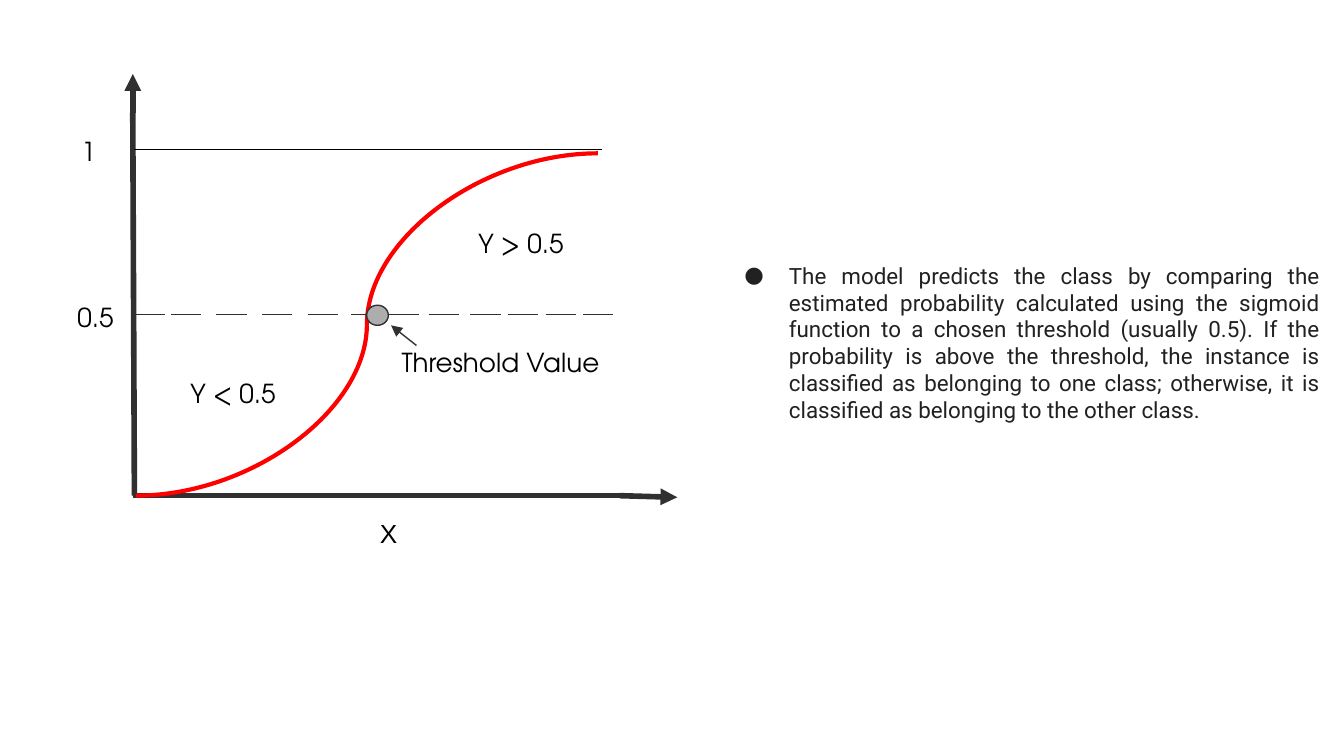
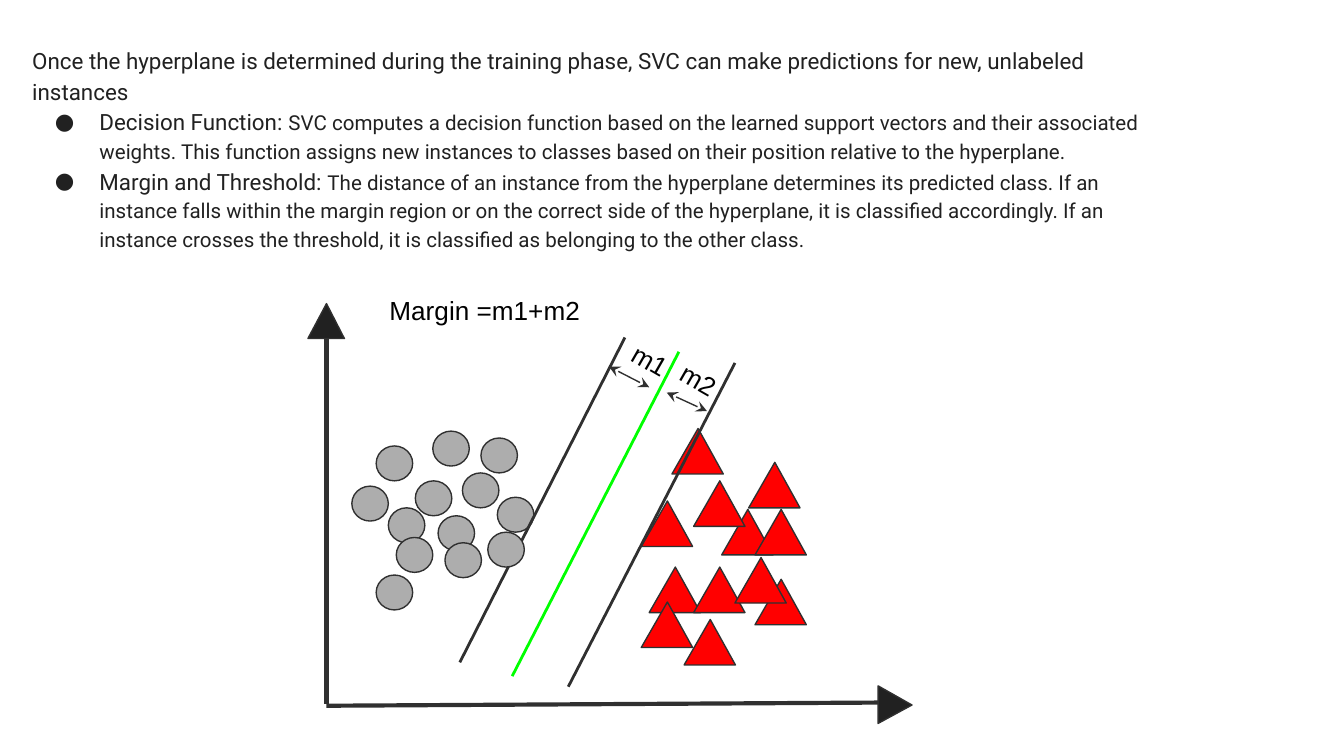
from lxml import etree
from pptx import Presentation
from pptx.dml.color import RGBColor
from pptx.enum.shapes import MSO_CONNECTOR, MSO_SHAPE
from pptx.enum.text import MSO_AUTO_SIZE, PP_ALIGN
from pptx.oxml.ns import qn
from pptx.util import Cm, Pt

STRAIGHT, CURVE = MSO_CONNECTOR.STRAIGHT, MSO_CONNECTOR.CURVE
OVAL, TRIANGLE = MSO_SHAPE.OVAL, MSO_SHAPE.ISOSCELES_TRIANGLE
LEFT, CENTER, JUSTIFY = PP_ALIGN.LEFT, PP_ALIGN.CENTER, PP_ALIGN.JUSTIFY
FIT_SHAPE, NO_FIT = MSO_AUTO_SIZE.SHAPE_TO_FIT_TEXT, MSO_AUTO_SIZE.NONE

BLACK = RGBColor(0x00, 0x00, 0x00)
INK = RGBColor(0x21, 0x21, 0x21)
STROKE = RGBColor(0x30, 0x30, 0x30)
GRAY = RGBColor(0xAD, 0xAD, 0xAD)
RED = RGBColor(0xFF, 0x00, 0x00)
GREEN = RGBColor(0x00, 0xFF, 0x00)

BODY_FONT, LABEL_FONT, GRAPH_FONT = "Roboto", "Arial", "TeX Gyre Adventor"
INSET, LABEL_HEIGHT, LABEL_SIZE = 0.25, 1.12, 14
THIN, MEDIUM, AXIS, HEAVY = 0.75, 1.5, 2.25, 3

# Body paragraphs: (bulleted, [(text, size), ...])
SIGMOID_TEXT = [
    (True, [("The model predicts the class by comparing the estimated probability "
             "calculated using the sigmoid function to a chosen threshold (usually 0.5). "
             "If the probability is above the threshold, the instance is classified as "
             "belonging to one class; otherwise, it is classified as belonging to the "
             "other class.", 12)]),
]
SVC_TEXT = [
    (False, [("Once the hyperplane is determined during the training phase, SVC can make "
              "predictions for new, unlabeled instances", 12)]),
    (True, [("Decision Function: ", 12),
            ("SVC computes a decision function based on the learned support vectors and "
             "their associated weights. This function assigns new instances to classes "
             "based on their position relative to the hyperplane.", 11)]),
    (True, [("Margin and Threshold: ", 12),
            ("The distance of an instance from the hyperplane determines its predicted "
             "class. If an instance falls within the margin region or on the correct side "
             "of the hyperplane, it is classified accordingly. If an instance crosses the "
             "threshold, it is classified as belonging to the other class.", 11)]),
]

# Labels: text, left, top, width, then font and alignment or rotation
SIGMOID_LABELS = [
    ("0.5", 1.12, 5.44, 1.37, GRAPH_FONT, CENTER),
    ("1", 0.99, 2.31, 1.37, GRAPH_FONT, CENTER),
    ("Threshold Value", 7.34, 6.3, 5.08, GRAPH_FONT, LEFT),
    ("Y > 0.5", 8.79, 4.04, 2.18, GRAPH_FONT, LEFT),
    ("Y < 0.5", 3.35, 6.88, 2.24, GRAPH_FONT, LEFT),
    ("X", 6.93, 9.53, 0.91, LABEL_FONT, LEFT),
]
MARGIN_LABELS = [
    ("Margin =m1+m2", 7.11, 5.31, 4.7, 0),
    ("m1", 11.68, 6.3, 1.35, 30),
    ("m2", 12.6, 6.65, 1.27, 30),
]

DASH_STARTS = [2.54, 3.23, 4.09, 4.95, 5.82, 6.63, 7.34, 8.1, 8.89, 9.6, 10.31, 11.02]
DASH_LENGTH, DASH_TOP = 0.57, 5.95

CIRCLE_SIZE, RED_SIZE = (0.69, 0.66), (0.97, 0.86)
CIRCLES = [(7.85, 9.09), (9.4, 9.4), (8.28, 9.75), (7.34, 9.6), (9.09, 8.28),
           (8.18, 8.15), (7.49, 10.16), (8.74, 8.94), (7.11, 8.43), (6.65, 9.19),
           (8.41, 10.26), (7.11, 10.87)]
SUPPORT_CIRCLE = (9.22, 10.06)
RED_TRIANGLES = [(12.27, 10.72), (12.12, 11.38), (13.11, 10.72), (13.64, 9.63),
                 (12.93, 11.71), (14.27, 10.95), (14.15, 8.74), (12.12, 9.47),
                 (12.7, 8.1), (13.11, 9.09), (14.27, 9.63), (13.89, 10.54)]
BOUNDARIES = [((11.81, 6.38), (8.69, 12.52), STROKE),
              ((13.89, 6.86), (10.74, 12.98), STROKE),
              ((12.83, 6.65), (9.68, 12.78), GREEN)]
MARGIN_ARROWS = [((12.6, 7.42), (13.36, 7.77)), ((11.51, 6.93), (12.27, 7.32))]


def add_line(slide, start, end, width=THIN, color=STROKE, kind=STRAIGHT,
             head=None, tail=None):
    """Draw a connector; head marks its start and tail its end."""
    connector = slide.shapes.add_connector(kind, *map(Cm, start + end))
    connector.line.color.rgb = color
    connector.line.width = Pt(width)
    properties = connector._element.spPr
    outline = properties.find(qn("a:ln"))
    for tag, arrow in (("a:headEnd", head), ("a:tailEnd", tail)):
        if arrow:
            etree.SubElement(outline, qn(tag), type=arrow)
    etree.SubElement(properties, qn("a:effectLst"))


def add_mark(slide, kind, position, size, fill, rotation=0):
    shape = slide.shapes.add_shape(kind, *map(Cm, position + size))
    shape.shadow.inherit = False
    shape.fill.solid()
    shape.fill.fore_color.rgb = fill
    shape.line.color.rgb = STROKE
    shape.line.width = Pt(THIN)
    shape.rotation = rotation
    if kind == TRIANGLE:
        shape.adjustments[0] = 0.51


def add_box(slide, left, top, width, height, auto_size=FIT_SHAPE):
    box = slide.shapes.add_textbox(Cm(left), Cm(top), Cm(width), Cm(height))
    frame = box.text_frame
    frame.word_wrap = True
    frame.auto_size = auto_size
    frame.margin_left = frame.margin_right = Cm(INSET)
    frame.margin_top = frame.margin_bottom = Cm(INSET)
    return box


def add_run(paragraph, text, size, font, color):
    run = paragraph.add_run()
    run.text = text
    run.font.size = Pt(size)
    run.font.name = font
    run.font.color.rgb = color


def add_label(slide, text, left, top, width, font=LABEL_FONT, alignment=LEFT, rotation=0):
    box = add_box(slide, left, top, width, LABEL_HEIGHT)
    box.rotation = rotation
    paragraph = box.text_frame.paragraphs[0]
    paragraph.alignment = alignment
    add_run(paragraph, text, LABEL_SIZE, font, BLACK)


def add_bullet(paragraph):
    properties = paragraph._p.get_or_add_pPr()
    properties.set("marL", str(Cm(1.27)))
    properties.set("indent", str(-Cm(0.84)))
    bullet_color = etree.SubElement(properties, qn("a:buClr"))
    etree.SubElement(bullet_color, qn("a:srgbClr"), val=str(INK))
    etree.SubElement(properties, qn("a:buFont"), typeface=BODY_FONT)
    etree.SubElement(properties, qn("a:buChar"), char="●")


def add_body(slide, content, place, alignment, line_spacing, auto_size):
    frame = add_box(slide, *place, auto_size).text_frame
    for index, (bulleted, runs) in enumerate(content):
        paragraph = frame.add_paragraph() if index else frame.paragraphs[0]
        if bulleted:
            add_bullet(paragraph)
        paragraph.alignment = alignment
        paragraph.line_spacing = line_spacing
        for text, size in runs:
            add_run(paragraph, text, size, BODY_FONT, INK)


def build_sigmoid_slide(slide):
    add_line(slide, (2.51, 2.13), (2.54, 9.37), HEAVY)
    add_line(slide, (2.51, 9.37), (11.71, 9.37), HEAVY)
    add_line(slide, (2.57, 9.37), (11.3, 2.9), AXIS, RED, CURVE)
    add_line(slide, (2.54, 2.82), (11.38, 2.82), color=BLACK)
    for start in DASH_STARTS:
        add_line(slide, (start, DASH_TOP), (start + DASH_LENGTH, DASH_TOP))
    add_mark(slide, OVAL, (6.93, 5.77), (0.41, 0.38), GRAY)
    add_line(slide, (7.87, 6.53), (7.39, 6.15), tail="triangle")
    add_line(slide, (2.51, 2.13), (2.51, 1.4), HEAVY, tail="triangle")
    add_line(slide, (11.71, 9.37), (12.8, 9.4), HEAVY, tail="triangle")
    for label in SIGMOID_LABELS:
        add_label(slide, *label)
    add_body(slide, SIGMOID_TEXT, (13.39, 4.7, 11.81, 3.58), JUSTIFY, 1.0, FIT_SHAPE)


def build_margin_slide(slide):
    add_line(slide, (6.17, 6.12), (6.17, 13.31), AXIS)
    add_line(slide, (6.17, 13.34), (16.59, 13.28), AXIS)
    for position in CIRCLES:
        add_mark(slide, OVAL, position, CIRCLE_SIZE, GRAY)
    for position in RED_TRIANGLES:
        add_mark(slide, TRIANGLE, position, RED_SIZE, RED)
    add_mark(slide, TRIANGLE, (5.82, 5.74), (0.69, 0.66), INK)
    add_mark(slide, TRIANGLE, (16.56, 13), (0.71, 0.64), INK, rotation=90)
    for start, end, color in BOUNDARIES:
        add_line(slide, start, end, MEDIUM, color)
    for start, end in MARGIN_ARROWS:
        add_line(slide, start, end, head="stealth", tail="stealth")
    for text, left, top, width, rotation in MARGIN_LABELS:
        add_label(slide, text, left, top, width, rotation=rotation)
    add_mark(slide, OVAL, SUPPORT_CIRCLE, CIRCLE_SIZE, GRAY)
    add_body(slide, SVC_TEXT, (0.36, 0.56, 21.84, 4.5), LEFT, 1.15, NO_FIT)


def main():
    presentation = Presentation()
    presentation.slide_width = Cm(25.4)
    presentation.slide_height = Cm(14.29)
    blank = presentation.slide_layouts[6]
    for build in (build_sigmoid_slide, build_margin_slide):
        build(presentation.slides.add_slide(blank))
    presentation.save("out.pptx")


if __name__ == "__main__":
    main()
